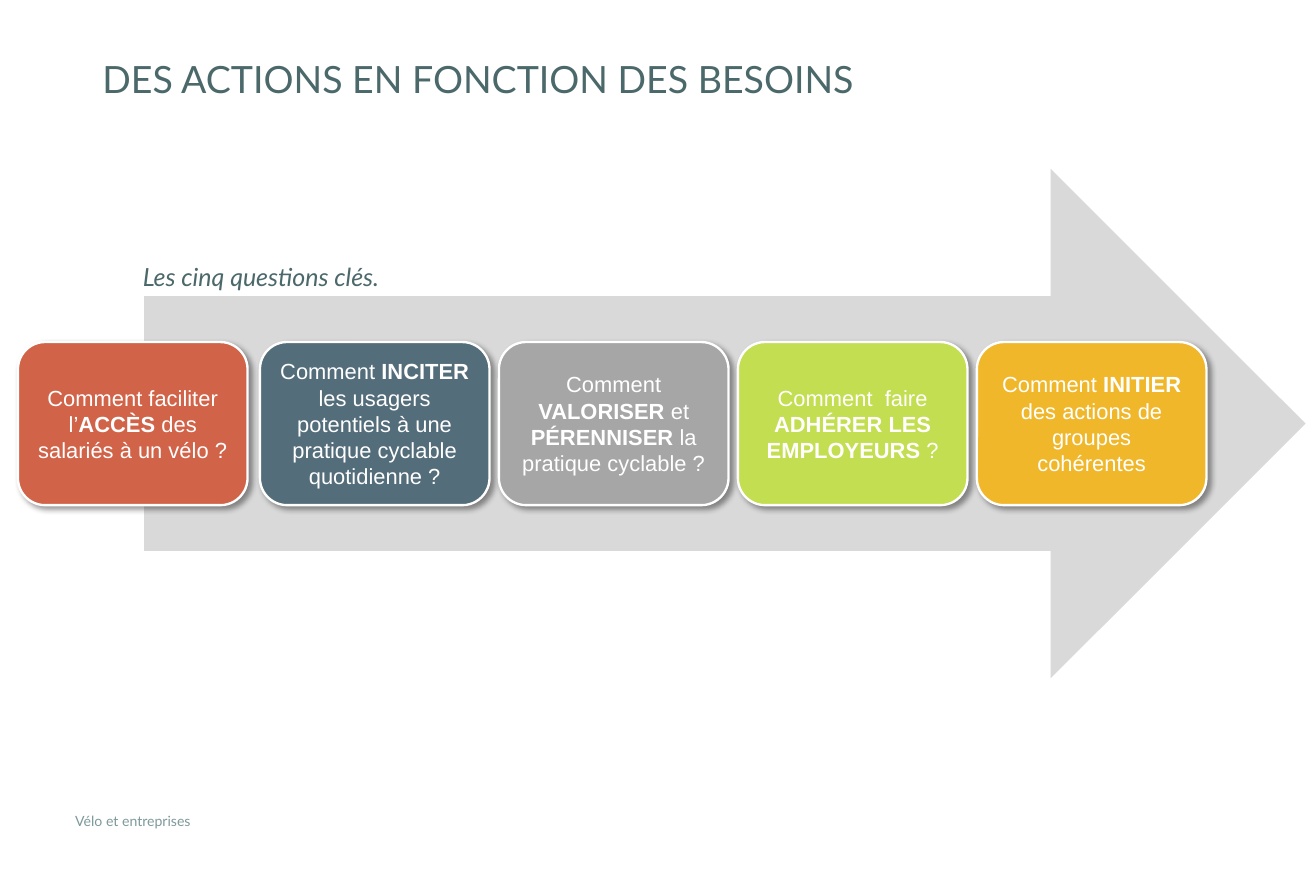
from dataclasses import dataclass

import lxml.etree
import pptx
import pptx.dml.color
import pptx.enum.shapes
import pptx.enum.text
import pptx.oxml.ns
import pptx.shapes.autoshape
import pptx.slide
import pptx.text.text
import pptx.util

Inches = pptx.util.Inches
Align = pptx.enum.text.PP_ALIGN
Anchor = pptx.enum.text.MSO_ANCHOR
Kind = pptx.enum.shapes.MSO_SHAPE


@dataclass(frozen=True)
class Theme:
    head: str = "Lato"
    body: str = "Arial"
    dark: str = "4B686A"
    soft: str = "7E999B"
    arrow: str = "D9D9D9"
    white: str = "FFFFFF"
    black: str = "000000"
    red: str = "D16349"
    slate: str = "546D7A"
    grey: str = "A6A6A6"
    lime: str = "C3DE50"
    gold: str = "F0B72A"
    title: int = 24
    lead: int = 16
    card: int = 14
    foot: int = 9
    edge: float = 1.5


@dataclass(frozen=True)
class Box:
    left: float
    top: float
    width: float
    height: float

    def spread(self) -> tuple[pptx.util.Length, ...]:
        return tuple(Inches(n) for n in (self.left, self.top, self.width, self.height))


@dataclass(frozen=True)
class Card:
    text: str
    fill: str


THEME = Theme()
WIDE, HIGH = 29.7 / 2.54, 63 / 8
CARDS = (
    Card("Comment faciliter l’*ACCÈS* des salariés à un vélo ?", THEME.red),
    Card("Comment *INCITER *les usagers potentiels à une pratique cyclable quotidienne ?", THEME.slate),
    Card("Comment *VALORISER* et *PÉRENNISER* la pratique cyclable ?", THEME.grey),
    Card("Comment  faire *ADHÉRER LES EMPLOYEURS *?", THEME.lime),
    Card("Comment *INITIER *des actions de groupes cohérentes", THEME.gold),
)
FIRST, NEXT, LAST = 0.16, 2.31, 8.68
PITCH = (LAST - NEXT) / (len(CARDS) - 2)
LEFTS = (FIRST, *(NEXT + step * PITCH for step in range(len(CARDS) - 1)))


def color(code: str) -> pptx.dml.color.RGBColor:
    return pptx.dml.color.RGBColor.from_string(code)


def style(run: pptx.text.text._Run, face: str, size: int, code: str,
          bold: bool = False, slant: bool = False) -> None:
    run.font.name = face
    run.font.size = pptx.util.Pt(size)
    run.font.color.rgb = color(code)
    run.font.bold = bold
    run.font.italic = slant


def write(frame: pptx.text.text.TextFrame, text: str, size: int, code: str,
          slant: bool = False) -> None:
    frame.text = text
    frame.word_wrap = True
    frame.auto_size = pptx.enum.text.MSO_AUTO_SIZE.NONE
    frame.vertical_anchor = Anchor.TOP
    line = frame.paragraphs[0]
    line.alignment = Align.LEFT
    style(line.runs[0], THEME.head, size, code, slant=slant)


def shape(slide: pptx.slide.Slide, kind: Kind, box: Box,
          fill: str) -> pptx.shapes.autoshape.Shape:
    item = slide.shapes.add_shape(kind, *box.spread())
    item.fill.solid()
    item.fill.fore_color.rgb = color(fill)
    item.line.fill.background()
    item.shadow.inherit = False
    return item


def shade(item: pptx.shapes.autoshape.Shape) -> None:
    qn = pptx.oxml.ns.qn
    effects = item._element.spPr.find(qn("a:effectLst"))
    outer = lxml.etree.SubElement(
        effects, qn("a:outerShdw"), blurRad=str(pptx.util.Pt(4)),
        dist=str(pptx.util.Pt(3)), dir="2700000", rotWithShape="0")
    tint = lxml.etree.SubElement(outer, qn("a:srgbClr"), val=THEME.black)
    lxml.etree.SubElement(tint, qn("a:alpha"), val="40000")


def draw(slide: pptx.slide.Slide, card: Card, left: float) -> None:
    item = shape(slide, Kind.ROUNDED_RECTANGLE, Box(left, 3.04, 2.04, 1.45), card.fill)
    item.line.color.rgb = color(THEME.white)
    item.line.width = pptx.util.Pt(THEME.edge)
    shade(item)
    frame = item.text_frame
    frame.word_wrap = True
    frame.vertical_anchor = Anchor.MIDDLE
    line = frame.paragraphs[0]
    line.alignment = Align.CENTER
    for place, part in enumerate(card.text.split("*")):
        run = line.add_run()
        run.text = part
        style(run, THEME.body, THEME.card, THEME.white, bold=place % 2 == 1)


def label(slide: pptx.slide.Slide, box: Box, text: str, size: int, code: str,
          slant: bool = False) -> None:
    item = slide.shapes.add_textbox(*box.spread())
    write(item.text_frame, text, size, code, slant)


def main() -> None:
    deck = pptx.Presentation()
    deck.slide_width, deck.slide_height = Inches(WIDE), Inches(HIGH)
    slide = deck.slides.add_slide(deck.slide_layouts.get_by_name("Title Only"))

    title = slide.shapes.title
    title.left, title.top, title.width, title.height = Box(0.81, 0.45, 10.43, 0.65).spread()
    write(title.text_frame, "DES ACTIONS EN FONCTION DES BESOINS", THEME.title, THEME.dark)

    label(slide, Box(0.57, 7.17, 10.08, 0.23), "Vélo et entreprises", THEME.foot, THEME.soft)
    shape(slide, Kind.RIGHT_ARROW, Box(1.28, 1.5, 10.32, 4.53), THEME.arrow)
    for card, left in zip(CARDS, LEFTS):
        draw(slide, card, left)
    label(slide, Box(1.17, 2.28, 2.59, 0.37), "Les cinq questions clés.",
          THEME.lead, THEME.dark, slant=True)
    deck.save("out.pptx")


main()
